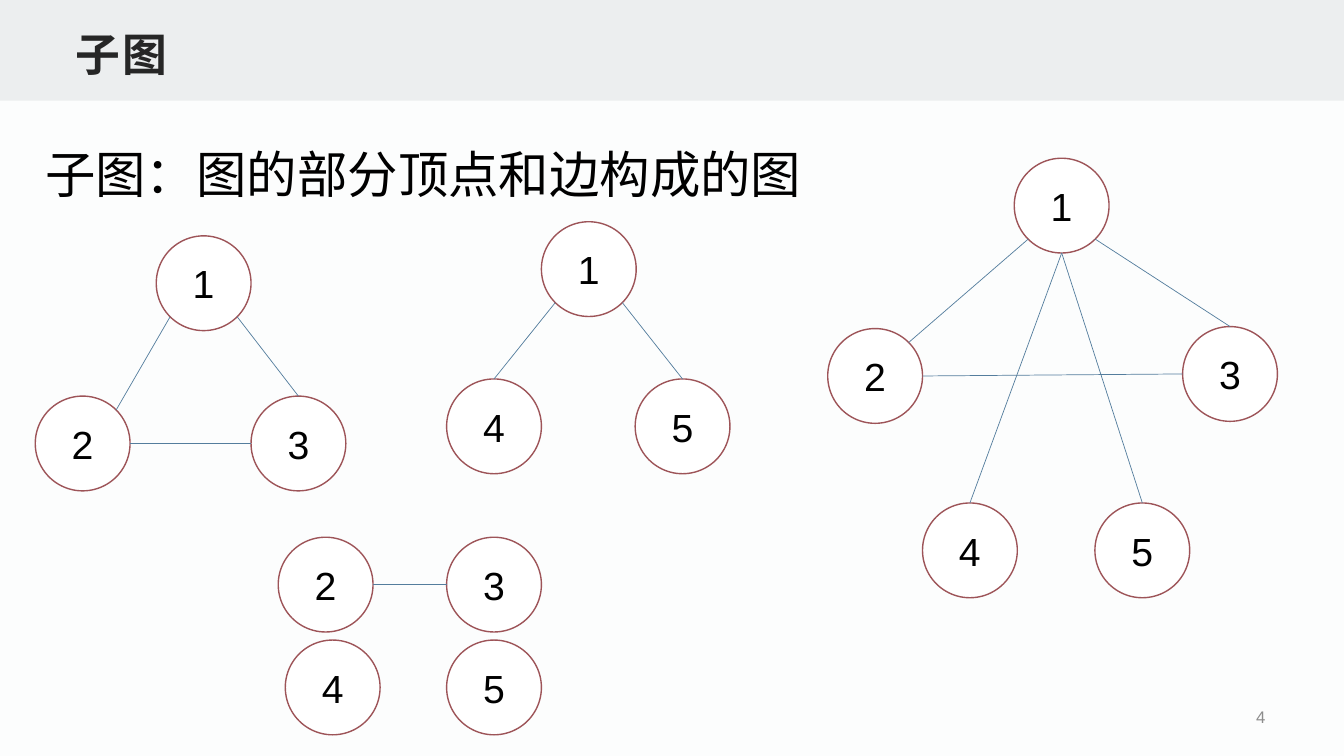
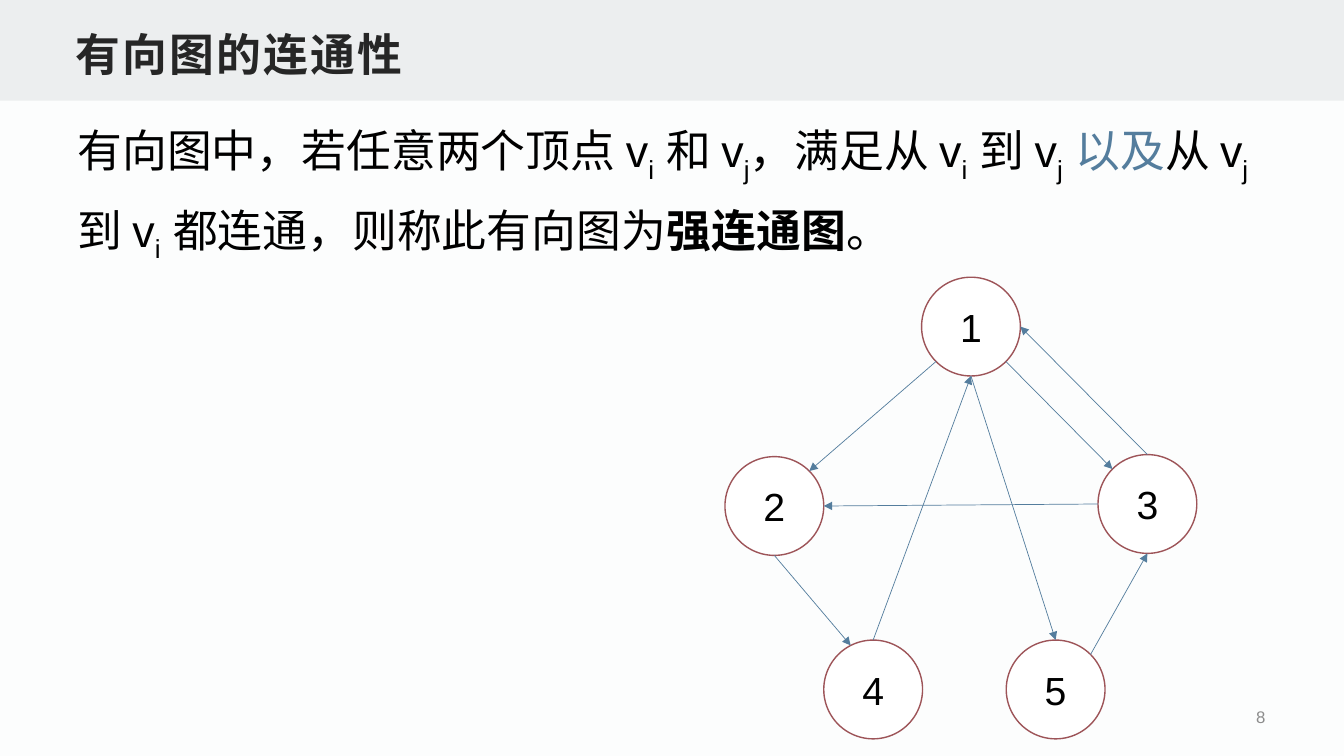
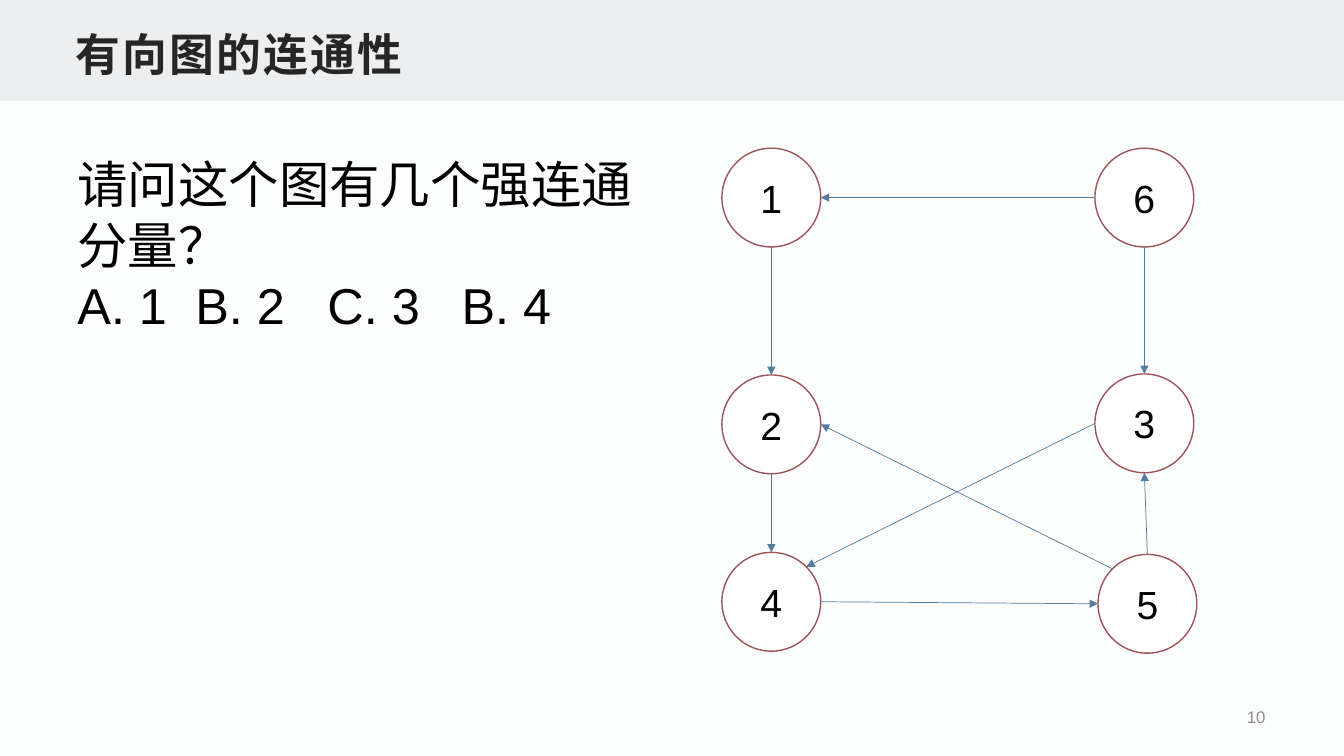
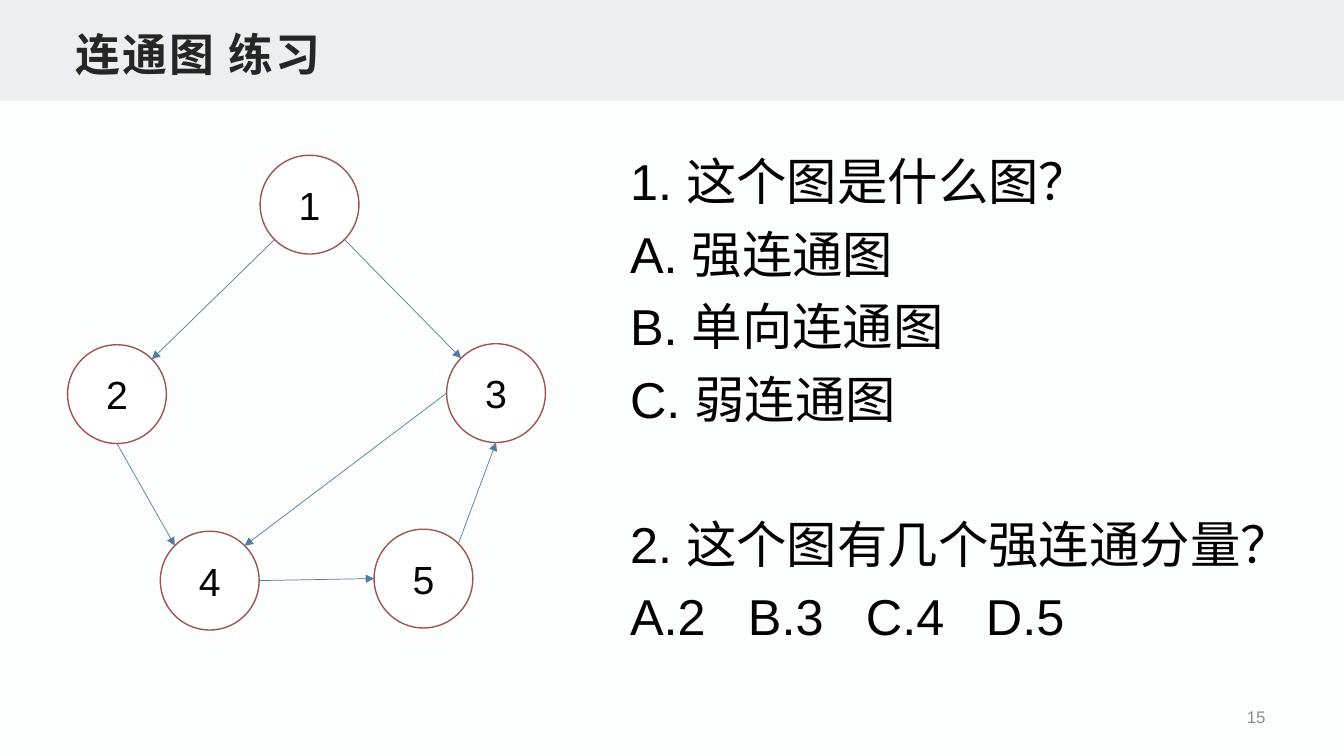
from dataclasses import dataclass, field
from math import cos, radians, sin
from typing import Any, NamedTuple

from lxml.etree import SubElement
from pptx import Presentation
from pptx.dml.color import RGBColor
from pptx.enum.lang import MSO_LANGUAGE_ID as Language
from pptx.enum.shapes import MSO_CONNECTOR as Connector, MSO_SHAPE as Preset
from pptx.enum.text import MSO_ANCHOR as Anchor, MSO_AUTO_SIZE as AutoSize, PP_ALIGN as Align
from pptx.oxml.ns import qn
from pptx.util import Inches, Pt

# Shared look
FONT = "Arial"
BACKGROUND, BAND, WHITE = "FCFDFD", "ECEEEF", "FFFFFF"
BLACK, TITLE_GREY, NUMBER_GREY = "000000", "262626", "8C8C8C"
EDGE_BLUE, NODE_RED = "547D9D", "9D5458"

# Directions on a node's rim, in degrees counter-clockwise from the right
SIDES = {"E": 0, "NE": 45, "N": 90, "NNW": 117, "NW": 135,
         "W": 180, "SW": 225, "S": 270, "SE": 315}


class Box(NamedTuple):
    left: float
    top: float
    width: float
    height: float

    def lengths(self) -> list[int]:
        return [Inches(value) for value in self]


class Edge(NamedTuple):
    source: str
    source_side: str
    target: str
    target_side: str


@dataclass
class Graph:
    nodes: dict[str, tuple[float, float]]
    edges: list[Edge]
    diameter: float = 0.98
    directed: bool = True

    def rim_point(self, label: str, side: str) -> tuple[int, int]:
        left, top = self.nodes[label]
        radius, angle = self.diameter / 2, radians(SIDES[side])
        return (Inches(left + radius * (1 + cos(angle))),
                Inches(top + radius * (1 - sin(angle))))


@dataclass
class Run:
    text: str
    color: str = BLACK
    bold: bool = False
    subscript: bool = False
    spacing: float = 0


@dataclass
class Line:
    runs: list[Run]
    format: dict[str, Any] = field(default_factory=dict)
    tabs: tuple[float, ...] = ()


@dataclass
class TextBlock:
    box: Box
    lines: list[Line]
    size: int = 36


@dataclass
class Page:
    number: int
    title: str
    text: TextBlock
    graphs: list[Graph]


def rgb(color: str) -> RGBColor:
    return RGBColor.from_string(color)


def write_lines(frame: Any, lines: list[Line], size: int) -> None:
    for index, line in enumerate(lines):
        paragraph = frame.add_paragraph() if index else frame.paragraphs[0]
        if line.tabs:
            tab_list = SubElement(paragraph._p.get_or_add_pPr(), qn("a:tabLst"))
            for position in line.tabs:
                SubElement(tab_list, qn("a:tab"), pos=str(Inches(position)), algn="l")
        for name, value in line.format.items():
            setattr(paragraph, name, value)
        for part in line.runs:
            run = paragraph.add_run()
            run.text = part.text
            font_format = {"name": FONT, "size": Pt(size), "bold": part.bold,
                           "language_id": Language.SIMPLIFIED_CHINESE}
            for name, value in font_format.items():
                setattr(run.font, name, value)
            run.font.color.rgb = rgb(part.color)
            properties = run._r.get_or_add_rPr()
            if part.subscript:
                properties.set("baseline", "-25000")
            if part.spacing:
                properties.set("spc", str(round(part.spacing * 100)))


def add_text(slide: Any, block: TextBlock, **frame_format: Any) -> None:
    frame = slide.shapes.add_textbox(*block.box.lengths()).text_frame
    for name, value in {"word_wrap": True, **frame_format}.items():
        setattr(frame, name, value)
    write_lines(frame, block.lines, block.size)


def add_shape(shapes: Any, preset: Any, box: Box, fill: str) -> Any:
    shape = shapes.add_shape(preset, *box.lengths())
    shape.shadow.inherit = False
    shape.fill.solid()
    shape.fill.fore_color.rgb = rgb(fill)
    shape.line.fill.background()
    return shape


def add_node(shapes: Any, label: str, box: Box) -> None:
    shape = add_shape(shapes, Preset.OVAL, box, WHITE)
    shape.line.color.rgb = rgb(NODE_RED)
    shape.line.width = Pt(1)
    shape.text_frame.vertical_anchor = Anchor.MIDDLE
    write_lines(shape.text_frame, [Line([Run(label)], {"alignment": Align.CENTER})], 28)


def add_edge(shapes: Any, graph: Graph, edge: Edge) -> None:
    start = graph.rim_point(edge.source, edge.source_side)
    end = graph.rim_point(edge.target, edge.target_side)
    connector = shapes.add_connector(Connector.STRAIGHT, *start, *end)
    connector.line.color.rgb = rgb(EDGE_BLUE)
    connector.line.width = Pt(0.5)
    if graph.directed:
        SubElement(connector.line._get_or_add_ln(), qn("a:tailEnd"), type="triangle")
    SubElement(connector._element.spPr, qn("a:effectLst"))


def add_graph(slide: Any, graph: Graph) -> None:
    shapes = slide.shapes.add_group_shape().shapes
    for label, (left, top) in graph.nodes.items():
        add_node(shapes, label, Box(left, top, graph.diameter, graph.diameter))
    for edge in graph.edges:
        add_edge(shapes, graph, edge)


def add_page(presentation: Any, page: Page) -> None:
    slide = presentation.slides.add_slide(presentation.slide_layouts[6])
    slide.background.fill.solid()
    slide.background.fill.fore_color.rgb = rgb(BACKGROUND)

    # Title band and page number
    add_shape(slide.shapes, Preset.RECTANGLE, Box(0, 0, 13.33, 1), BAND)
    title = Run(page.title, TITLE_GREY, bold=True, spacing=1.5)
    add_text(slide, TextBlock(Box(0.67, 0.17, 12, 0.67), [Line([title])], 32),
             vertical_anchor=Anchor.BOTTOM, margin_left=Inches(0.08), margin_right=Inches(0.08),
             margin_top=Inches(0.04), margin_bottom=Inches(0.04))
    number = Line([Run(str(page.number), NUMBER_GREY)], {"alignment": Align.RIGHT})
    add_text(slide, TextBlock(Box(9.7, 6.94, 2.95, 0.35), [number], 12),
             vertical_anchor=Anchor.MIDDLE)

    # Content
    add_text(slide, page.text, auto_size=AutoSize.SHAPE_TO_FIT_TEXT)
    for graph in page.graphs:
        add_graph(slide, graph)


def vertex(index: str, lead: str) -> list[Run]:
    """Text ending in v, followed by its subscript."""
    return [Run(f"{lead}v"), Run(index, subscript=True)]


# Slide contents
SUBGRAPH_STYLE = {"diameter": 0.94, "directed": False}
SUBGRAPHS = [
    Graph({"1": (10.06, 1.57), "2": (8.21, 3.26), "3": (11.73, 3.24),
           "4": (9.15, 4.99), "5": (10.86, 4.99)},
          [Edge("1", "SW", "2", "NE"), Edge("1", "S", "5", "N"), Edge("1", "SE", "3", "N"),
           Edge("4", "N", "1", "S"), Edge("3", "W", "2", "E")], **SUBGRAPH_STYLE),
    Graph({"1": (1.55, 2.34), "2": (0.35, 3.93), "3": (2.49, 3.93)},
          [Edge("1", "SW", "2", "NE"), Edge("1", "SE", "3", "N"),
           Edge("3", "W", "2", "E")], **SUBGRAPH_STYLE),
    Graph({"1": (5.37, 2.2), "4": (4.43, 3.76), "5": (6.3, 3.76)},
          [Edge("1", "SE", "5", "N"), Edge("4", "N", "1", "SW")], **SUBGRAPH_STYLE),
    Graph({"2": (2.76, 5.33), "3": (4.43, 5.33), "4": (2.83, 6.35), "5": (4.43, 6.35)},
          [Edge("3", "W", "2", "E")], **SUBGRAPH_STYLE),
]
STRONG_GRAPH = Graph(
    {"1": (9.14, 2.75), "2": (7.19, 4.53), "3": (10.89, 4.51),
     "4": (8.17, 6.35), "5": (9.98, 6.35)},
    [Edge("1", "SW", "2", "NE"), Edge("1", "S", "5", "N"), Edge("1", "SE", "3", "NW"),
     Edge("4", "N", "1", "S"), Edge("3", "W", "2", "E"), Edge("3", "N", "1", "E"),
     Edge("2", "S", "4", "NNW"), Edge("5", "NE", "3", "S")])
COMPONENT_GRAPH = Graph(
    {"1": (7.16, 1.47), "2": (7.16, 3.72), "3": (10.86, 3.71),
     "4": (7.16, 5.48), "5": (10.89, 5.5), "6": (10.86, 1.47)},
    [Edge("1", "S", "2", "N"), Edge("5", "N", "3", "S"), Edge("4", "E", "5", "W"),
     Edge("3", "W", "4", "NE"), Edge("6", "W", "1", "E"), Edge("2", "S", "4", "N"),
     Edge("6", "S", "3", "N"), Edge("5", "NW", "2", "E")])
EXERCISE_GRAPH = Graph(
    {"1": (2.58, 1.54), "2": (0.67, 3.42), "3": (4.43, 3.41),
     "4": (1.59, 5.27), "5": (3.71, 5.25)},
    [Edge("1", "SW", "2", "NE"), Edge("1", "SE", "3", "NW"), Edge("3", "W", "4", "NE"),
     Edge("2", "S", "4", "NW"), Edge("5", "NE", "3", "S"), Edge("4", "E", "5", "W")])

STRONG_DEFINITION = [
    *vertex("i", "有向图中，若任意两个顶点 "), *vertex("j", " 和 "),
    *vertex("i", "，满足从 "), *vertex("j", " 到 "), Run(" 以及", EDGE_BLUE),
    *vertex("j ", "从 "), *vertex("i", "到 "), Run(" 都连通，则称此有向图为"),
    Run("强连通图", bold=True), Run("。"),
]
LOOSE = {"line_spacing": 1.2}
EXERCISE_LINES = [
    *[Line([Run(text)], LOOSE)
      for text in ("1. 这个图是什么图？", "A. 强连通图", "B. 单向连通图", "C. 弱连通图")],
    Line([Run("2. 这个图有几个强连通分量？")], {**LOOSE, "space_before": Pt(52)}),
    Line([Run("A.2\tB.3\tC.4\tD.5")], LOOSE, tabs=(1.17, 2.34, 3.53)),
]
PAGES = [
    Page(4, "子图",
         TextBlock(Box(0.35, 1.01, 7.8, 1.07),
                   [Line([Run("子图：图的部分顶点和边构成的图")], {"line_spacing": 1.6})]),
         SUBGRAPHS),
    Page(8, "有向图的连通性",
         TextBlock(Box(0.67, 0.99, 11.99, 1.5),
                   [Line(STRONG_DEFINITION, {"line_spacing": 1.3})], 32),
         [STRONG_GRAPH]),
    Page(10, "有向图的连通性",
         TextBlock(Box(0.67, 1.47, 6, 1.92),
                   [Line([Run("请问这个图有几个强连通分量？")]),
                    Line([Run("A. 1\tB. 2\tC. 3\tB. 4")], tabs=(1.17, 2.48, 3.81))]),
         [COMPONENT_GRAPH]),
    Page(15, "连通图 练习",
         TextBlock(Box(6.15, 1.32, 6.29, 5.19), EXERCISE_LINES),
         [EXERCISE_GRAPH]),
]


def main() -> None:
    presentation = Presentation()
    presentation.slide_width, presentation.slide_height = Inches(13.33), Inches(7.5)
    for page in PAGES:
        add_page(presentation, page)
    presentation.save("out.pptx")


if __name__ == "__main__":
    main()
